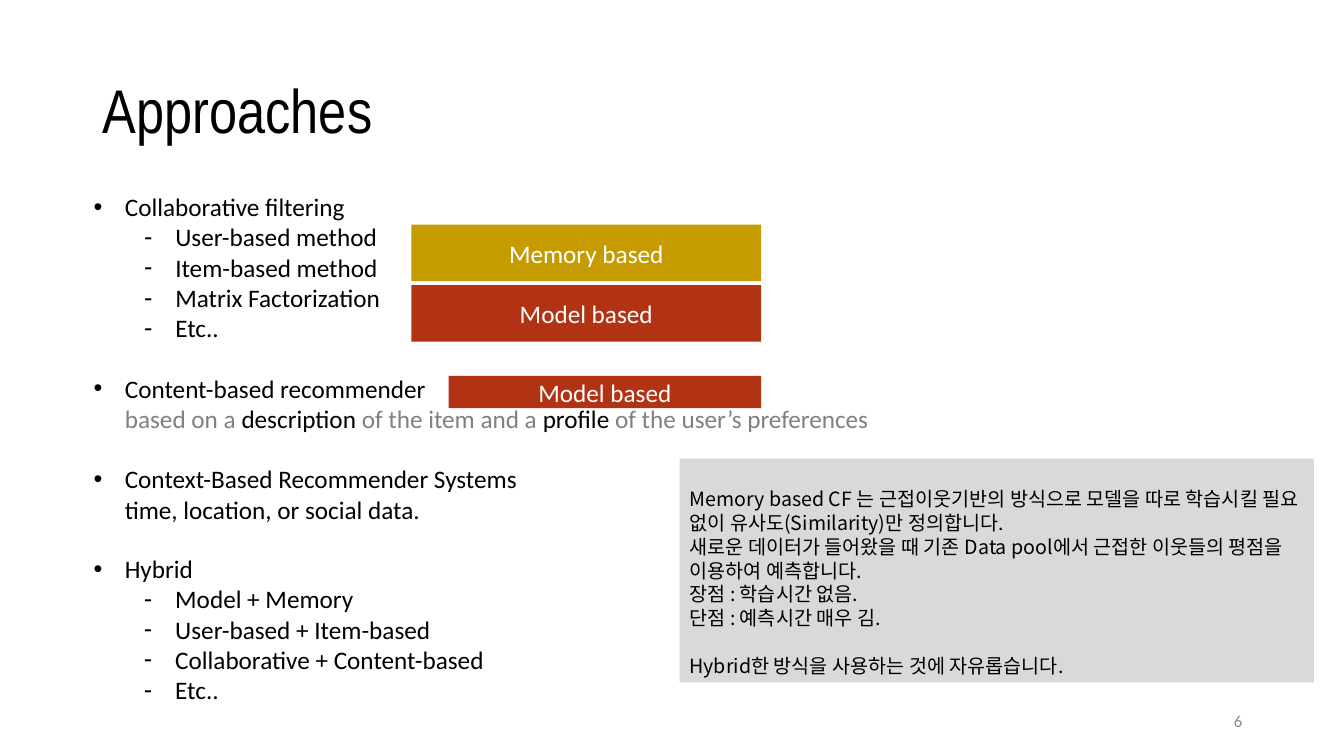
from pptx import Presentation
from pptx.dml.color import RGBColor
from pptx.enum.shapes import MSO_SHAPE as SHAPE
from pptx.enum.text import MSO_ANCHOR as ANCHOR, PP_ALIGN as ALIGN
from pptx.oxml.ns import qn
from pptx.util import Inches, Pt
from lxml.etree import SubElement

BLACK, GREY, WHITE = "000000", "808080", "FFFFFF"
GOLD, RED = "C59B00", "B23214"
KOREAN = "Noto Sans CJK KR"


def rgb(value):
    return RGBColor.from_string(value)


def write(p, text, size=18, font="Calibri", color=BLACK):
    for i, line in enumerate(text.split("\n")):
        if i:
            p.add_line_break()
        if not line:
            continue
        r = p.add_run()
        r.text = line
        for name, value in {"size": Pt(size), "name": font}.items():
            setattr(r.font, name, value)
        r.font.color.rgb = rgb(color)
        if font == KOREAN:
            SubElement(r.font._element, qn("a:ea"), typeface=font)


prs = Presentation()
prs.slide_width, prs.slide_height = Inches(13.33), Inches(7.5)
s = prs.slides.add_slide(prs.slide_layouts.get_by_name("Title Only"))

title = s.shapes.title
for name, value in {"left": 0.92, "top": 0.4, "width": 11.5, "height": 1.45}.items():
    setattr(title, name, Inches(value))
title.text_frame.vertical_anchor = ANCHOR.MIDDLE
p = title.text_frame.paragraphs[0]
p.alignment, p.line_spacing = ALIGN.LEFT, 0.9
write(p, "Approaches", 44, "Arial Narrow")

sections = [
    (1.85, 11.59, 1.62, [("Collaborative filtering", BLACK)],
     ["User-based method", "Item-based method", "Matrix Factorization", "Etc.."]),
    (3.65, 9.85, 0.71,
     [("Content-based recommender \n", BLACK), ("based on a ", GREY), ("description", BLACK),
      (" of the item and a ", GREY), ("profile", BLACK), (" of the user’s preferences", GREY)], []),
    (4.55, 6.67, 0.71,
     [("Context-Based Recommender Systems\ntime, location, or social data.", BLACK)], []),
    (5.44, 6.67, 1.62, [("Hybrid", BLACK)],
     ["Model + Memory", "User-based + Item-based", "Collaborative + Content-based", "Etc.."]),
]
for top, width, height, heading, methods in sections:
    sp = s.shapes.add_textbox(Inches(0.83), Inches(top), Inches(width), Inches(height))
    tf = sp.text_frame
    tf.word_wrap = True
    items = [(0, heading)] + [(1, [(method, BLACK)]) for method in methods]
    for i, (level, parts) in enumerate(items):
        p = tf.add_paragraph() if i else tf.paragraphs[0]
        p.level = level
        pPr = p._p.get_or_add_pPr()
        pPr.set("marL", str(Inches(0.31 + 0.5 * level)))
        pPr.set("indent", str(-Inches(0.31)))
        SubElement(pPr, qn("a:buFont"), typeface="Arial")
        SubElement(pPr, qn("a:buChar"), char="•‐"[level])
        for text, color in parts:
            write(p, text, color=color)

sp = s.shapes.add_textbox(Inches(9.42), Inches(6.95), Inches(3), Inches(0.4))
sp.text_frame.vertical_anchor = ANCHOR.MIDDLE
sp.text_frame.word_wrap = True
p = sp.text_frame.paragraphs[0]
p.alignment = ALIGN.RIGHT
write(p, "6", 12, color="8C8C8C")

boxes = [
    (4.08, 2.23, 3.47, 0.56, GOLD, "Memory based"),
    (4.08, 2.83, 3.47, 0.56, RED, "Model based"),
    (4.45, 3.73, 3.1, 0.32, RED, "Model based"),
    (6.74, 4.55, 6.29, 2.22, "D9D9D9", ""),
]
for *place, fill, label in boxes:
    sp = s.shapes.add_shape(SHAPE.RECTANGLE, *map(Inches, place))
    sp.shadow.inherit = False
    sp.fill.solid()
    sp.fill.fore_color.rgb = rgb(fill)
    sp.line.fill.background()
    tf = sp.text_frame
    tf.vertical_anchor = ANCHOR.MIDDLE
    if label:
        tf.paragraphs[0].alignment = ALIGN.CENTER
        write(tf.paragraphs[0], label, color=WHITE)

notes = [
    "Memory based CF 는 근접이웃기반의 방식으로 모델을 따로 학습시킬 필요 없이 유사도(Similarity)만 정의합니다.",
    "새로운 데이터가 들어왔을 때 기존 Data pool에서 근접한 이웃들의 평점을 이용하여 예측합니다.",
    "장점 : 학습시간 없음.\n단점 : 예측시간 매우 김.",
    "Hybrid한 방식을 사용하는 것에 자유롭습니다.",
]
frame = {"word_wrap": True, "vertical_anchor": ANCHOR.TOP,
         "margin_top": Inches(0.28), "margin_right": Inches(0.05)}
for name, value in frame.items():
    setattr(tf, name, value)
for i, note in enumerate(notes):
    p = tf.add_paragraph() if i else tf.paragraphs[0]
    p.alignment, p.line_spacing = ALIGN.LEFT, Pt(17)
    write(p, note, 14, KOREAN)
p.space_before = Pt(17)

prs.save("out.pptx")
